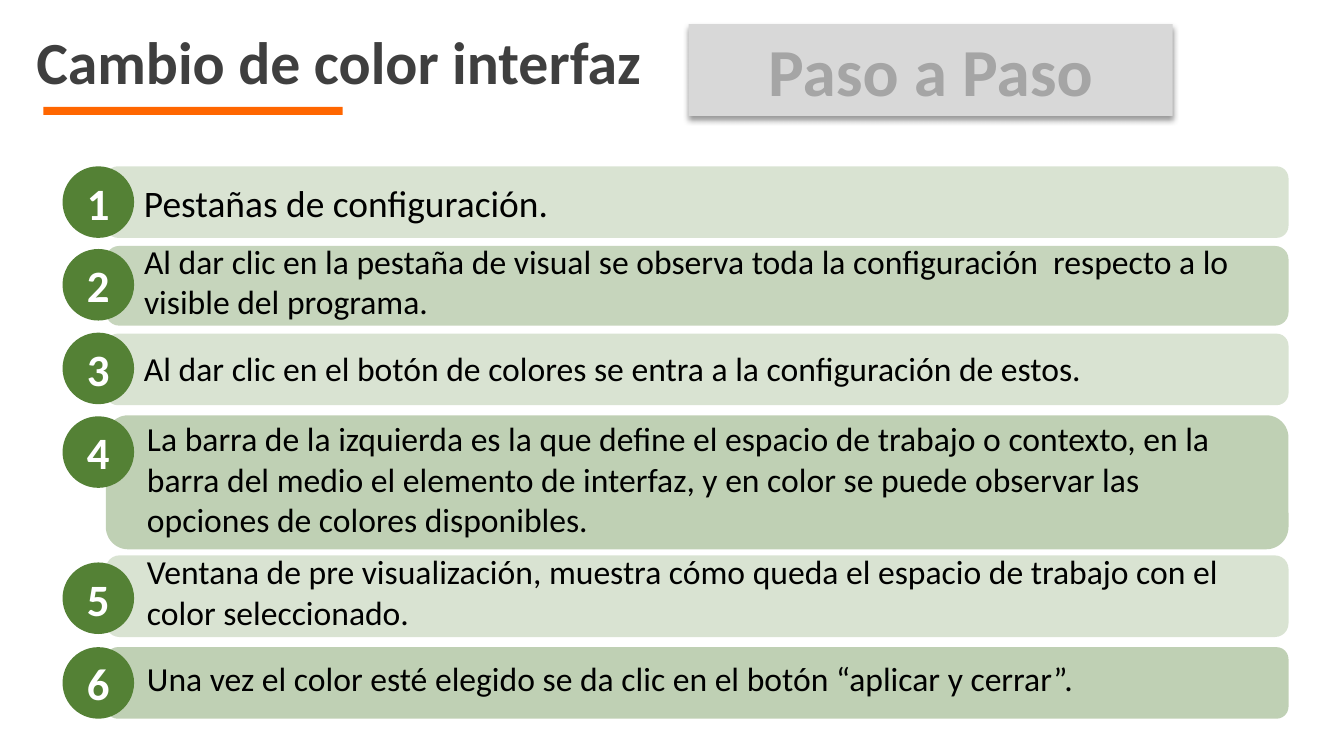
from lxml import etree
from pptx import Presentation
from pptx.dml.color import RGBColor
from pptx.enum.shapes import MSO_SHAPE
from pptx.enum.text import MSO_ANCHOR, MSO_AUTO_SIZE, PP_ALIGN
from pptx.oxml.ns import qn
from pptx.util import Inches, Pt

TITLE = "Cambio de color interfaz"
BANNER = "Paso a Paso"
# text, size, text (left, top, width, height), bar (top, height), opacity %, badge top
STEPS = [
    ("Pestañas de configuración.",
     26.7, (1.33, 1.74, 6.3, 0.55), (1.65, 0.71), 22, 1.65),
    ("Al dar clic en la pestaña de visual se observa toda la configuración  respecto a lo "
     "visible del programa.",
     24, (1.33, 2.34, 11.45, 0.91), (2.44, 0.79), 33, 2.47),
    ("Al dar clic en el botón de colores se entra a la configuración de estos.",
     24, (1.33, 3.4, 11.26, 0.5), (3.31, 0.71), 22, 3.3),
    ("La barra de la izquierda es la que define el espacio de trabajo o contexto, en la "
     "barra del medio el elemento de interfaz, y en color se puede observar las opciones "
     "de colores disponibles.",
     24, (1.36, 4.1, 11.23, 1.31), (4.12, 1.33), 37, 4.13),
    ("Ventana de pre visualización, muestra cómo queda el espacio de trabajo con el color "
     "seleccionado.",
     24, (1.36, 5.42, 11.23, 0.91), (5.51, 0.81), 22, 5.58),
    ("Una vez el color esté elegido se da clic en el botón “aplicar y cerrar”.",
     24, (1.36, 6.48, 10.96, 0.5), (6.42, 0.71), 37, 6.42),
]

GREEN = RGBColor(0x54, 0x81, 0x35)
ORANGE = RGBColor(0xFF, 0x66, 0x00)
DARK_GRAY = RGBColor(0x3F, 0x3F, 0x3F)
MID_GRAY = RGBColor(0xA5, 0xA5, 0xA5)
LIGHT_GRAY = RGBColor(0xD8, 0xD8, 0xD8)
BLACK = RGBColor(0, 0, 0)
WHITE = RGBColor(0xFF, 0xFF, 0xFF)

RECTANGLE, ROUNDED, OVAL = MSO_SHAPE.RECTANGLE, MSO_SHAPE.ROUNDED_RECTANGLE, MSO_SHAPE.OVAL
LEFT, CENTER = PP_ALIGN.LEFT, PP_ALIGN.CENTER
TOP, MIDDLE = MSO_ANCHOR.TOP, MSO_ANCHOR.MIDDLE

FONT = "Calibri"
BAR_LEFT, BAR_WIDTH = 1.05, 11.73
BADGE_LEFT, BADGE_SIZE = 0.62, 0.71
TITLE_BOX = (0.26, 0.2, 6.4, 0.82)
UNDERLINE_BOX = (0.43, 1.06, 2.97, 0.08)
BANNER_BOX = (6.83, 0.24, 4.8, 0.91)


def inches(box):
    return [Inches(length) for length in box]


def write(shape, text, size, color, bold=False, align=LEFT, anchor=TOP):
    frame = shape.text_frame
    frame.auto_size = MSO_AUTO_SIZE.NONE
    frame.word_wrap = True
    frame.vertical_anchor = anchor
    frame.margin_left = frame.margin_right = Inches(0.1)
    frame.margin_top = frame.margin_bottom = Inches(0.05)
    paragraph = frame.paragraphs[0]
    paragraph.alignment = align
    run = paragraph.add_run()
    run.text = text
    run.font.name = FONT
    run.font.size = Pt(size)
    run.font.bold = bold
    run.font.color.rgb = color


def add_filled(slide, kind, box, color, opacity=100):
    shape = slide.shapes.add_shape(kind, *inches(box))
    shape.shadow.inherit = False
    shape.line.fill.background()
    shape.fill.solid()
    shape.fill.fore_color.rgb = color
    if opacity < 100:
        set_opacity(shape.fill._xPr.find(".//" + qn("a:srgbClr")), opacity)
    return shape


def set_opacity(color_element, percent):
    etree.SubElement(color_element, qn("a:alpha"), val=str(percent * 1000))


def add_drop_shadow(shape):
    effects = shape._element.spPr.find(qn("a:effectLst"))
    shadow = etree.SubElement(effects, qn("a:outerShdw"), blurRad=str(Pt(4)), dist=str(Pt(3)),
                              dir=str(90 * 60000), algn="t", rotWithShape="0")
    set_opacity(etree.SubElement(shadow, qn("a:srgbClr"), val=str(BLACK)), 40)


def add_header(slide):
    title = slide.shapes.title
    title.left, title.top, title.width, title.height = inches(TITLE_BOX)
    write(title, TITLE, 42.7, DARK_GRAY, bold=True)
    add_filled(slide, RECTANGLE, UNDERLINE_BOX, ORANGE)
    banner = add_filled(slide, RECTANGLE, BANNER_BOX, LIGHT_GRAY)
    add_drop_shadow(banner)
    write(banner, BANNER, 48, MID_GRAY, bold=True, align=CENTER)


def add_step(slide, number, step):
    text, size, text_box, (bar_top, bar_height), opacity, badge_top = step
    add_filled(slide, ROUNDED, (BAR_LEFT, bar_top, BAR_WIDTH, bar_height), GREEN, opacity)
    badge = add_filled(slide, OVAL, (BADGE_LEFT, badge_top, BADGE_SIZE, BADGE_SIZE), GREEN)
    write(badge, str(number), 32, WHITE, bold=True, align=CENTER, anchor=MIDDLE)
    write(slide.shapes.add_textbox(*inches(text_box)), text, size, BLACK)


def main():
    deck = Presentation()
    deck.slide_width, deck.slide_height = Inches(13.33), Inches(7.5)
    slide = deck.slides.add_slide(deck.slide_layouts[5])
    add_header(slide)
    for number, step in enumerate(STEPS, start=1):
        add_step(slide, number, step)
    deck.save("out.pptx")


if __name__ == "__main__":
    main()
